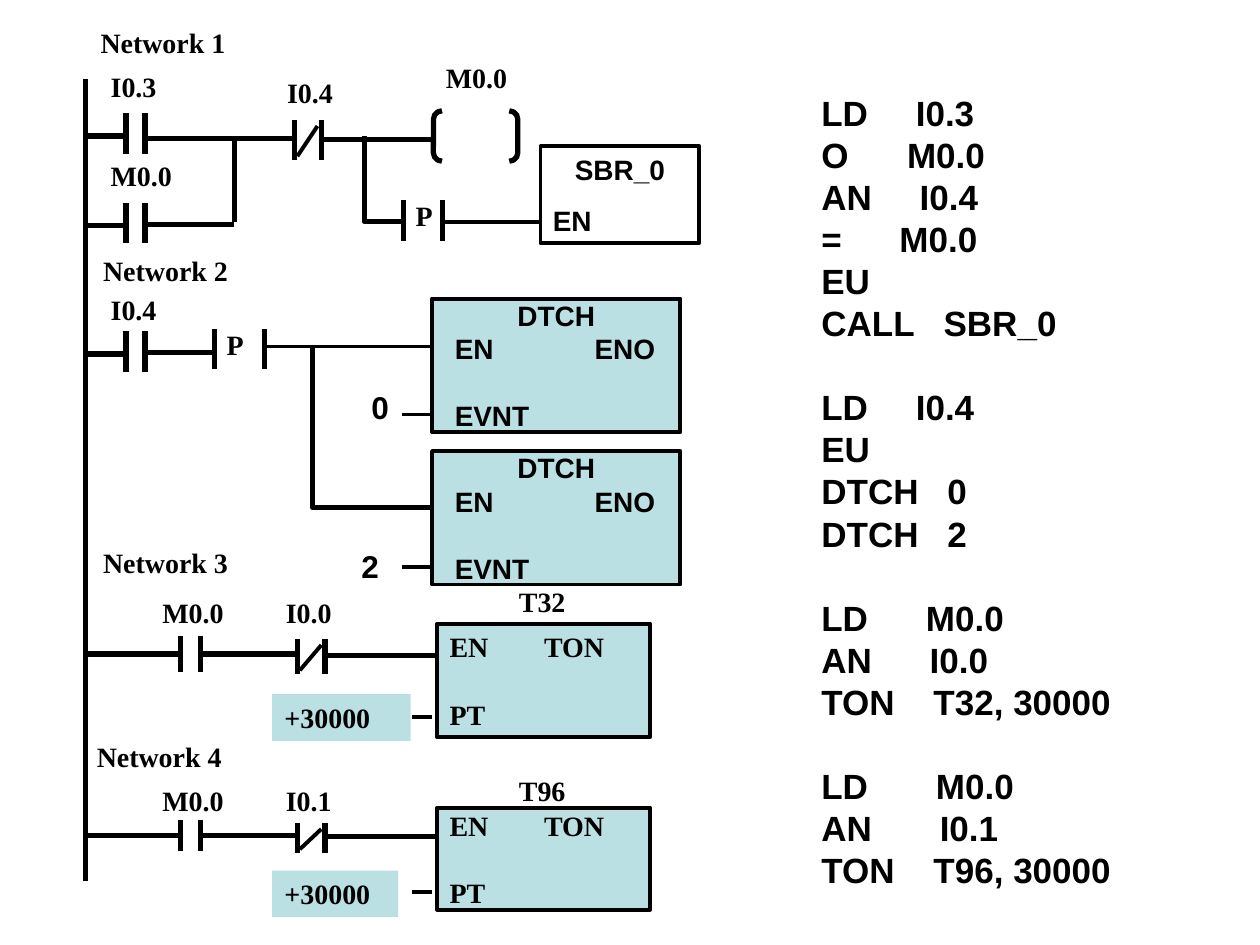
from dataclasses import dataclass
from typing import NamedTuple, Optional

from pptx import Presentation
from pptx.dml.color import RGBColor
from pptx.enum.shapes import MSO_CONNECTOR as Connector, MSO_SHAPE as Shape
from pptx.enum.text import MSO_ANCHOR as Anchor, PP_ALIGN as Align
from pptx.oxml.ns import qn
from pptx.util import Inches, Pt
from lxml.etree import SubElement


@dataclass(frozen=True)
class Theme:
    ink: RGBColor = RGBColor(0x00, 0x00, 0x00)
    block: RGBColor = RGBColor(0xBB, 0xE0, 0xE3)
    serif: str = "Times New Roman"
    sans: str = "Arial"
    label: int = 16
    number: int = 18
    code: int = 20
    leading: float = 1.2
    wire: float = 3
    thin: float = 2.25


class Line(NamedTuple):
    text: str
    tab: Optional[float] = None
    before: float = 0
    align: Align = Align.LEFT


class Box(NamedTuple):
    left: float
    top: float
    width: float
    height: float


@dataclass(frozen=True)
class Contact:
    left: float
    right: float
    top: float
    height: float = 0.32
    closed: bool = False


@dataclass(frozen=True)
class TimerNetwork:
    rung: float
    contact_height: float
    closed_input: str
    input_top: float
    timer: str
    timer_top: float
    block: Box
    preset: Box
    preset_wire: float


THEME = Theme()
BLANK_LINE = THEME.label * THEME.leading
CODE_GAP = THEME.code * THEME.leading

presentation = Presentation()
presentation.slide_width, presentation.slide_height = Inches(10), Inches(7.5)
slide = presentation.slides.add_slide(presentation.slide_layouts[6])


def write(shape, lines: list[Line], font: str, size: int, inset: float = 0.1,
          anchor: Anchor = Anchor.TOP) -> None:
    frame = shape.text_frame
    frame_format = {
        "word_wrap": True, "vertical_anchor": anchor,
        "margin_left": Inches(inset), "margin_right": Inches(inset),
        "margin_top": Inches(0.05), "margin_bottom": Inches(0.05),
    }
    for name, value in frame_format.items():
        setattr(frame, name, value)
    for index, line in enumerate(lines):
        paragraph = frame.add_paragraph() if index else frame.paragraphs[0]
        if line.tab is not None:
            tabs = SubElement(paragraph._p.get_or_add_pPr(), qn("a:tabLst"))
            SubElement(tabs, qn("a:tab"), pos=str(Inches(line.tab)), algn="l")
        paragraph_format = {"alignment": line.align, "space_before": Pt(line.before),
                            "line_spacing": Pt(size * THEME.leading)}
        for name, value in paragraph_format.items():
            setattr(paragraph, name, value)
        run = paragraph.add_run()
        run.text = line.text
        for name, value in {"name": font, "size": Pt(size), "bold": True}.items():
            setattr(run.font, name, value)
        run.font.color.rgb = THEME.ink


def add_label(text: str, left: float, top: float, width: float = 0.85,
              font: str = THEME.serif, size: int = THEME.label,
              tab: Optional[float] = None) -> None:
    box = slide.shapes.add_textbox(Inches(left), Inches(top), Inches(width), Inches(0.37))
    write(box, [Line(text, tab)], font, size)


def add_wire(x1: float, y1: float, x2: float, y2: float, weight: float = THEME.wire) -> None:
    wire = slide.shapes.add_connector(Connector.STRAIGHT, *map(Inches, (x1, y1, x2, y2)))
    wire.line.color.rgb = THEME.ink
    wire.line.width = Pt(weight)
    SubElement(wire._element.spPr, qn("a:effectLst"))


def add_branch(x: float, top: float, bottom: float, end: float) -> None:
    builder = slide.shapes.build_freeform(Inches(x), Inches(top))
    builder.add_line_segments([(Inches(x), Inches(bottom)), (Inches(end), Inches(bottom))],
                              close=False)
    style(builder.convert_to_shape(), False, THEME.wire)


def style(shape, filled: bool, weight: float) -> None:
    shape.shadow.inherit = False
    if filled:
        shape.fill.solid()
        shape.fill.fore_color.rgb = THEME.block
    else:
        shape.fill.background()
    if weight:
        shape.line.color.rgb = THEME.ink
        shape.line.width = Pt(weight)
    else:
        shape.line.fill.background()


def add_block(box: Box, filled: bool = True, weight: float = THEME.thin,
              kind: Shape = Shape.RECTANGLE):
    shape = slide.shapes.add_shape(kind, *map(Inches, box))
    style(shape, filled, weight)
    return shape


def add_contact(contact: Contact) -> None:
    bottom = contact.top + contact.height
    for x in (contact.left, contact.right):
        add_wire(x, contact.top, x, bottom)
    if contact.closed:
        add_wire(contact.left + 0.02, bottom - 0.03,
                 contact.right - 0.03, contact.top + 0.05, THEME.thin)


def add_detach_block(top: float) -> None:
    shape = add_block(Box(3.43, top, 1.97, 1.06))
    write(shape, [Line("DTCH", align=Align.CENTER), Line("EN\tENO", tab=1.11),
                  Line("EVNT", before=BLANK_LINE)],
          THEME.sans, THEME.label, inset=0.18, anchor=Anchor.MIDDLE)
    add_wire(3.19, top + 0.92, 3.42, top + 0.92, THEME.thin)


def add_timer_network(network: TimerNetwork) -> None:
    rung, height = network.rung, network.contact_height
    add_label(f"M0.0\t{network.closed_input}", 1.19, network.input_top, 1.81, tab=0.98)
    add_contact(Contact(1.43, 1.59, rung - height / 2, height))
    add_contact(Contact(2.36, 2.58, rung - height / 2 + 0.02, height, closed=True))
    for start, end, y in ((0.68, 1.43, rung), (1.59, 2.36, rung), (2.58, 3.45, rung + 0.01)):
        add_wire(start, y, end, y)
    write(add_block(network.block),
          [Line("EN\tTON", tab=0.75), Line("PT", before=BLANK_LINE)],
          THEME.serif, THEME.label, anchor=Anchor.MIDDLE)
    add_label(network.timer, 4.02, network.timer_top)
    add_wire(3.27, network.preset_wire, 3.43, network.preset_wire, THEME.thin)
    write(add_block(network.preset, weight=0), [Line("+30000")], THEME.serif, THEME.label)


# Power rail and network headings
add_wire(0.68, 0.63, 0.68, 6.99)
for number, (left, top) in enumerate(((0.7, 0.15), (0.72, 1.96), (0.72, 4.28), (0.67, 5.82)), 1):
    add_label(f"Network {number}", left, top, 1.3)

# Contacts of networks 1 and 2
for contact in (Contact(1, 1.15, 0.9), Contact(1, 1.15, 1.61), Contact(1, 1.15, 2.63),
                Contact(2.34, 2.55, 0.95, closed=True),
                Contact(3.2, 3.51, 1.59), Contact(1.7, 2.1, 2.61)):
    add_contact(contact)
for text, left, top in (("I0.3", 0.78, 0.5), ("M0.0", 0.78, 1.21), ("I0.4", 0.78, 2.27),
                        ("I0.4", 2.18, 0.55), ("M0.0", 3.44, 0.43),
                        ("P", 3.2, 1.53), ("P", 1.7, 2.55)):
    add_label(text, left, top)

# Wires of networks 1 and 2
for y in (1.08, 1.79, 2.81):
    add_wire(0.68, y, 1.02, y)
for start, end, y in ((1.15, 2.34, 1.1), (2.56, 3.43, 1.11), (1.15, 1.86, 1.78), (1.15, 1.7, 2.8)):
    add_wire(start, y, end, y)
for start, end, y in ((3.52, 4.29, 1.76), (2.1, 3.43, 2.75)):
    add_wire(start, y, end, y, THEME.thin)
add_wire(1.86, 1.08, 1.86, 1.76)
add_branch(2.89, 1.08, 1.76, 3.2)
add_branch(2.48, 2.75, 4.03, 3.43)

# Coil and subroutine call
coil = add_block(Box(3.44, 0.88, 0.67, 0.4), False, THEME.wire, Shape.DOUBLE_BRACKET)
coil.adjustments[0] = 0.17
write(add_block(Box(4.29, 1.16, 1.26, 0.77), filled=False),
      [Line("SBR_0", align=Align.CENTER), Line("EN", before=10)], THEME.sans, THEME.label)

# Event detach blocks
for block_top in (2.37, 3.58):
    add_detach_block(block_top)
for text, left, top in (("0", 2.85, 3.03), ("2", 2.77, 4.29)):
    add_label(text, left, top, 0.34, THEME.sans, THEME.number)

# Timer networks 3 and 4
add_timer_network(TimerNetwork(5.19, 0.28, "I0.0", 4.68, "T32", 4.59, Box(3.47, 4.95, 1.69, 0.9),
                               Box(2.16, 5.51, 1.1, 0.37), 5.69))
add_timer_network(TimerNetwork(6.63, 0.24, "I0.1", 6.17, "T96", 6.09, Box(3.47, 6.41, 1.69, 0.81),
                               Box(2.16, 6.91, 1, 0.37), 7.08))

# Statement list
listing = slide.shapes.add_textbox(*map(Inches, (6.42, 0.68, 2.99, 6.44)))
write(listing, [
    Line("LD\tI0.3", 0.75), Line("O\tM0.0", 0.68), Line("AN\tI0.4", 0.78),
    Line("=\tM0.0", 0.62), Line("EU"), Line("CALL\tSBR_0", 0.97),
    Line("LD\tI0.4", 0.75, CODE_GAP), Line("EU"), Line("DTCH\t0", 1), Line("DTCH\t2", 1),
    Line("LD\tM0.0", 0.83, CODE_GAP), Line("AN\tI0.0", 0.86), Line("TON\tT32, 30000", 0.89),
    Line("LD\tM0.0", 0.91, CODE_GAP), Line("AN\tI0.1", 0.94), Line("TON\tT96, 30000", 0.89),
], THEME.sans, THEME.code)

presentation.save("out.pptx")
